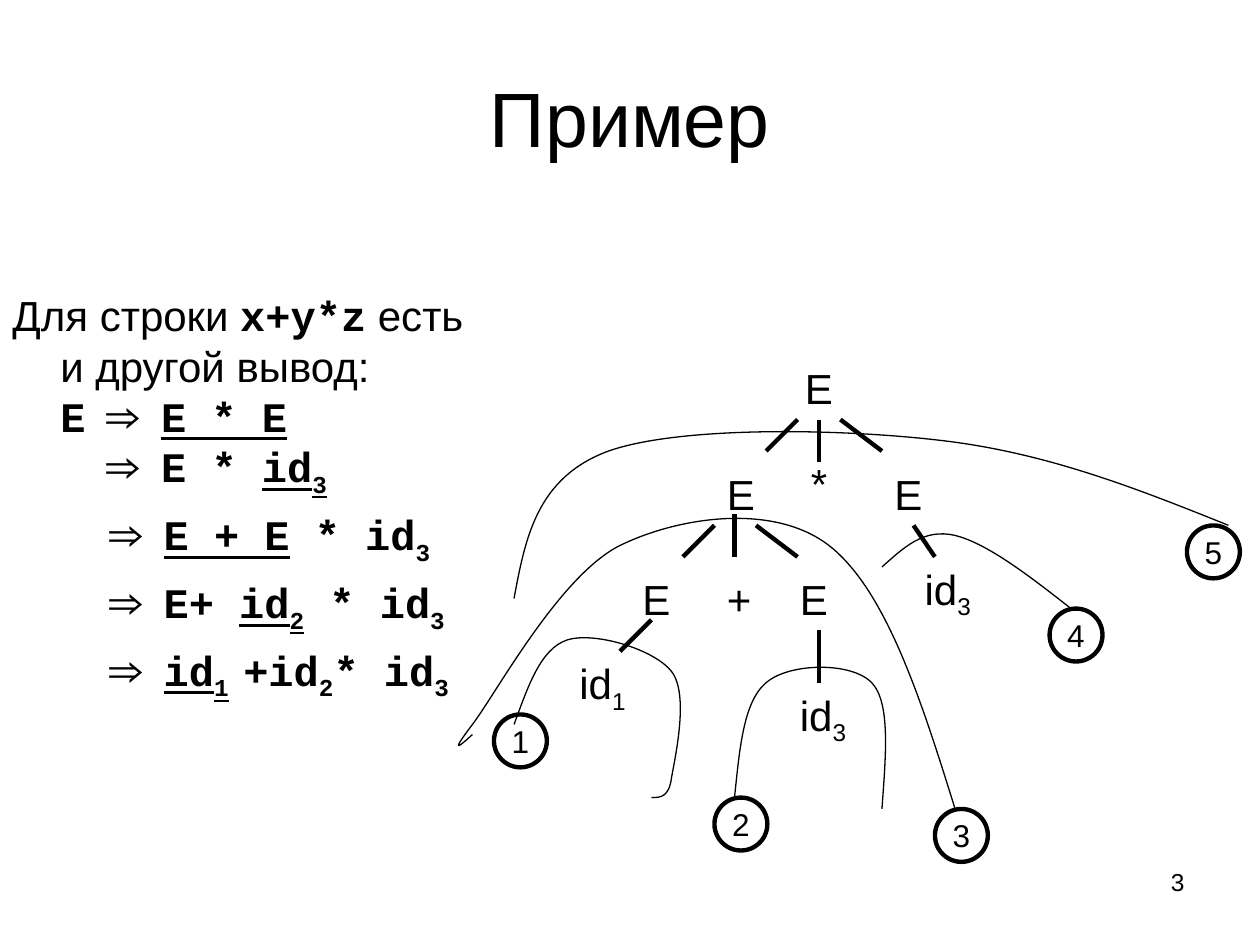
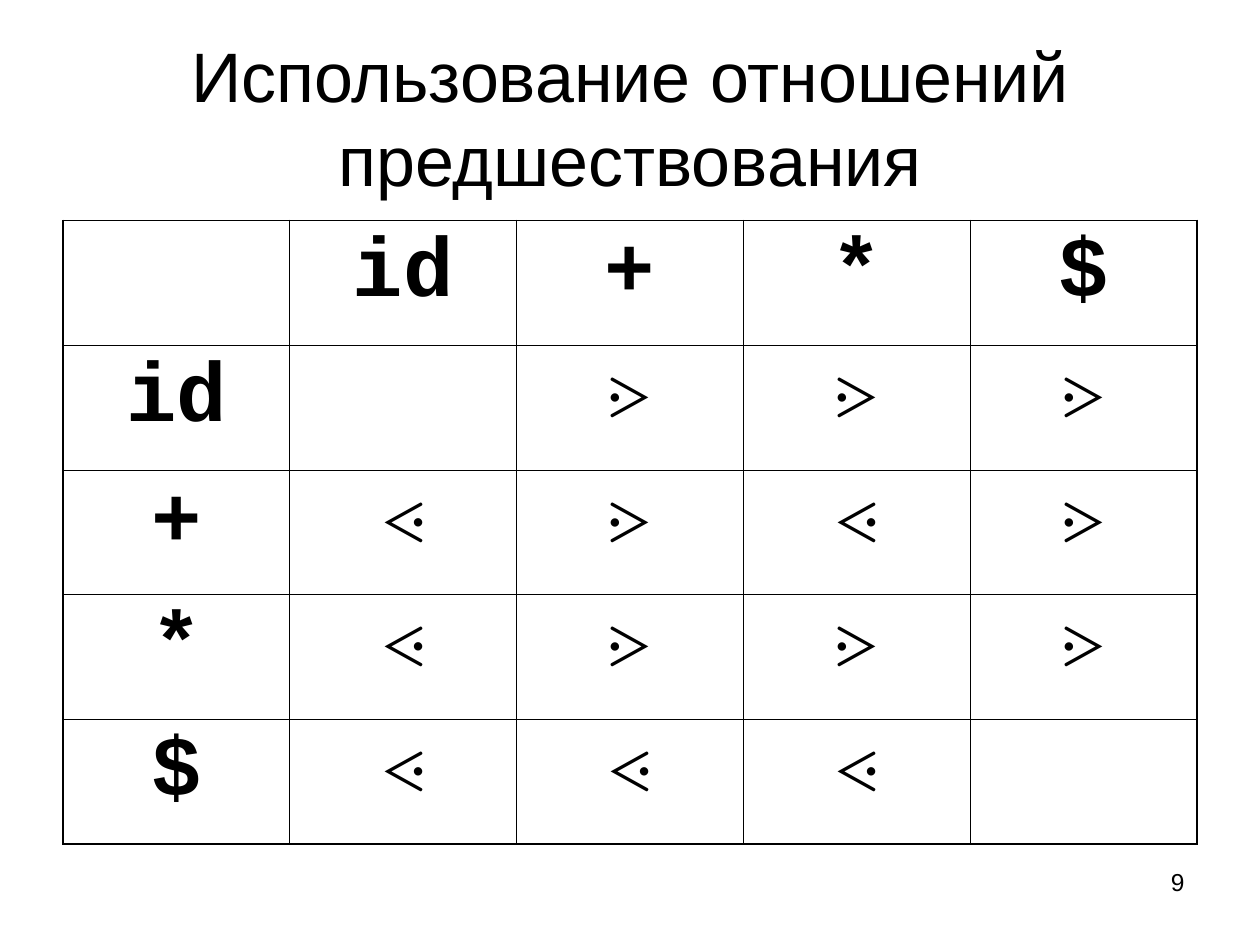
from dataclasses import dataclass

from lxml import etree
from pptx import Presentation
from pptx import util as u
from pptx.dml.color import RGBColor
from pptx.enum import shapes, text
from pptx.oxml import ns


@dataclass(frozen=True)
class Theme:
    """Colours, fonts, type sizes and line widths of the deck."""
    ink: RGBColor = RGBColor(0, 0, 0)
    sans: str = "Arial"
    mono: str = "Courier New"
    title: int = 44
    long_title: int = 40
    body: int = 24
    cell: int = 48
    circle: int = 18
    number: int = 14
    edge: float = 2.5
    curve: float = 0.75
    frame: float = 1.08
    grid: float = 0.45


THEME = Theme()
LEFT, CENTER, RIGHT = text.PP_ALIGN.LEFT, text.PP_ALIGN.CENTER, text.PP_ALIGN.RIGHT
TITLE_BOX = (0.5, 0.3, 9, 1.25)
NUMBER_BOX = (7.17, 6.83, 2.33, 0.52)
DERIVATION_BOX = (0, 2.25, 4.08, 3.5)
TREE_ORIGIN = (3.5, 2.5)
TABLE_BOX = (0.5, 1.75, 9, 4.95)
CIRCLE_SIZE = 0.42

DERIVATION = [
    (0.38, -0.38, 0, [("Для строки ", ""), ("x+y*z", "m"), (" есть", ""), ("\n", ""),
                      ("и другой вывод:", ""), ("\n", ""), ("E ⇒ ", "m"), ("E * E", "mu")]),
    (0.78, 0, 0, [("⇒ E * ", "m"), ("id", "mu"), ("3", "mus")]),
    (0.8, 0, 6, [("⇒ ", "m"), ("E + E", "mu"), (" * id", "m"), ("3", "ms")]),
    (0.8, 0, 6, [("⇒ E+ ", "m"), ("id", "mu"), ("2", "mus"), (" * id", "m"), ("3", "ms")]),
    (0.8, 0, 6, [("⇒ ", "m"), ("id", "mu"), ("1", "mus"), (" ", "ms"), ("+id", "m"),
                 ("2", "ms"), ("* id", "m"), ("3", "ms")]),
]

NODES = {
    "root": ("E", "", 2.75, 0.33, 0.5, CENTER),
    "sum": ("E", "", 2.17, 1.17, 0.5, LEFT),
    "factor": ("E", "", 3.5, 1.17, 0.5, LEFT),
    "times": ("*", "", 2.75, 1.08, 0.5, CENTER),
    "factor id": ("id", "3", 3.74, 1.92, 0.75, LEFT),
    "first term": ("E", "", 1.5, 2, 0.5, LEFT),
    "second term": ("E", "", 2.75, 2, 0.5, LEFT),
    "plus": ("+", "", 2.17, 2, 0.5, LEFT),
    "first id": ("id", "1", 1, 2.67, 0.92, LEFT),
    "second id": ("id", "3", 2.75, 2.92, 0.75, LEFT),
}

EDGES = [
    (None, (2.83, 0.83), (2.58, 1.08)),
    (None, (3.17, 0.83), (3.5, 1.08)),
    ("root", (3, 0.83), (3, 1.17)),
    ("factor", (3.75, 1.67), (3.92, 1.92)),
    (None, (2.33, 1.58), (2.33, 1.92)),
    (None, (2.17, 1.67), (1.92, 1.92)),
    (None, (2.5, 1.67), (2.83, 1.92)),
    (None, (1.67, 2.42), (1.42, 2.67)),
    ("second term", (3, 2.5), (3, 2.92)),
]

CURVES = [
    [(0.58, 2.25), (0.67, 1.77), (0.76, 1.29), (1.33, 1.08), (1.9, 0.88), (3.18, 0.9),
     (4, 1), (4.82, 1.1), (5.53, 1.38), (6.25, 1.67)],
    [(0.58, 3.25), (0.69, 2.95), (0.79, 2.65), (1, 2.58), (1.21, 2.51), (1.69, 2.65),
     (1.83, 2.83), (1.97, 3.01), (1.86, 3.5), (1.83, 3.67), (1.81, 3.83), (1.74, 3.83),
     (1.67, 3.83)],
    [(2.33, 3.83), (2.37, 3.45), (2.4, 3.07), (2.58, 2.92), (2.76, 2.76), (3.26, 2.75),
     (3.42, 2.92), (3.57, 3.08), (3.53, 3.5), (3.5, 3.92)],
    [(0.25, 3.33), (0.15, 3.42), (0.06, 3.5), (0.25, 3.25), (0.44, 3), (0.94, 2.07),
     (1.42, 1.83), (1.89, 1.6), (2.64, 1.49), (3.08, 1.83), (3.53, 2.18), (3.81, 3.05),
     (4.08, 3.92)],
    [(3.5, 2), (3.67, 1.85), (3.83, 1.69), (4.08, 1.75), (4.33, 1.81), (4.67, 2.07),
     (5, 2.33)],
]

CIRCLES = [(0.42, 3.17), (2.17, 3.83), (3.92, 3.92), (4.83, 2.33), (5.92, 1.67)]

PRECEDENCE = [
    ["", "id", "+", "*", "$"],
    ["id", "", "⋗", "⋗", "⋗"],
    ["+", "⋖", "⋗", "⋖", "⋗"],
    ["*", "⋖", "⋗", "⋗", "⋗"],
    ["$", "⋖", "⋖", "⋖", ""],
]


def inches(values):
    """Turn numbers into lengths."""
    return [u.Inches(value) for value in values]


def format_para(para, size, align=LEFT, name=THEME.sans, bold=False):
    """Set the alignment and font of a paragraph."""
    para.alignment = align
    font = para.font
    font.name, font.size, font.bold = name, u.Pt(size), bold
    font.color.rgb = THEME.ink


def add_span(para, words, subscript=False):
    """Append a run, lowered if it is a subscript."""
    span = para.add_run()
    span.text = words
    if subscript:
        span.font._element.set("baseline", "-25000")
    return span


def add_box(page, place):
    """Add a wrapping text box and return it."""
    box = page.shapes.add_textbox(*inches(place))
    box.text_frame.word_wrap = True
    return box


def start_page(deck, heading, size, number):
    """Add a page with its title and page number."""
    page = deck.slides.add_slide(deck.slide_layouts[5])
    title = page.shapes.title
    title.left, title.top, title.width, title.height = inches(TITLE_BOX)
    frame = title.text_frame
    frame.text = heading
    frame.auto_size = text.MSO_AUTO_SIZE.NONE
    frame.vertical_anchor = text.MSO_ANCHOR.MIDDLE
    format_para(frame.paragraphs[0], size, CENTER)
    para = add_box(page, NUMBER_BOX).text_frame.paragraphs[0]
    add_span(para, str(number))
    format_para(para, THEME.number, RIGHT)
    return page


def add_derivation(page, place):
    """Write the derivation steps into the given box."""
    frame = add_box(page, place).text_frame
    for index, (margin, indent, before, spans) in enumerate(DERIVATION):
        para = frame.add_paragraph() if index else frame.paragraphs[0]
        properties = para._p.get_or_add_pPr()
        properties.set("marL", str(u.Inches(margin)))
        properties.set("indent", str(u.Inches(indent)))
        para.space_before = u.Pt(before)
        format_para(para, THEME.body)
        for words, style in spans:
            if words == "\n":
                para.add_line_break()
                continue
            span = add_span(para, words, "s" in style)
            span.font.name = THEME.mono if "m" in style else THEME.sans
            span.font.bold = "m" in style
            span.font.underline = "u" in style


def draw_outline(shape, width):
    """Give a shape a plain outline without fill or shadow."""
    shape.shadow.inherit = False
    shape.fill.background()
    shape.line.color.rgb = THEME.ink
    shape.line.width = u.Pt(width)


def add_curve(page, points):
    """Draw a chain of cubic curves through every third point."""
    start, *others = [inches(point) for point in points]
    builder = page.shapes.build_freeform(*start)
    builder.add_line_segments(others, close=False)
    curve = builder.convert_to_shape()
    outline = next(curve._element.iter(ns.qn("a:path")))
    segments = outline.findall(ns.qn("a:lnTo"))
    for first in range(0, len(segments), 3):
        cubic = etree.SubElement(outline, ns.qn("a:cubicBezTo"))
        for segment in segments[first:first + 3]:
            cubic.append(segment[0])
            outline.remove(segment)
    draw_outline(curve, THEME.curve)


def add_edge(page, start, end, parent):
    """Draw a tree branch, joined to its parent node if there is one."""
    edge = page.shapes.add_connector(shapes.MSO_CONNECTOR.STRAIGHT, *inches(start + end))
    if parent is not None:
        edge.begin_connect(parent, 2)
    edge.line.color.rgb = THEME.ink
    edge.line.width = u.Pt(THEME.edge)
    etree.SubElement(edge._element.spPr, ns.qn("a:effectLst"))


def add_tree(page, origin):
    """Draw the parse tree and the numbered reduction arcs from an origin."""
    def shift(point):
        """Move a point by the origin."""
        return point[0] + origin[0], point[1] + origin[1]

    nodes = {}
    for key, (word, index, left, top, width, align) in NODES.items():
        nodes[key] = add_box(page, (*shift((left, top)), width, 0.5))
        para = nodes[key].text_frame.paragraphs[0]
        add_span(para, word)
        if index:
            add_span(para, index, True)
        format_para(para, THEME.body, align)
    for parent, start, end in EDGES:
        add_edge(page, shift(start), shift(end), nodes.get(parent))
    for points in CURVES:
        add_curve(page, [shift(point) for point in points])
    for number, corner in enumerate(CIRCLES, 1):
        place = inches((*shift(corner), CIRCLE_SIZE, CIRCLE_SIZE))
        circle = page.shapes.add_shape(shapes.MSO_SHAPE.OVAL, *place)
        draw_outline(circle, THEME.edge)
        frame = circle.text_frame
        frame.word_wrap = False
        frame.vertical_anchor = text.MSO_ANCHOR.MIDDLE
        add_span(frame.paragraphs[0], str(number))
        format_para(frame.paragraphs[0], THEME.circle, CENTER)


def add_border(cell, side, width):
    """Draw one solid side of a cell."""
    line = etree.SubElement(cell._tc.get_or_add_tcPr(), ns.qn(f"a:ln{side}"),
                            w=str(u.Pt(width)))
    fill = etree.SubElement(line, ns.qn("a:solidFill"))
    etree.SubElement(fill, ns.qn("a:srgbClr"), val=str(THEME.ink))


def add_precedence_table(page, place):
    """Fill the given box with the table of precedence relations."""
    count = len(PRECEDENCE)
    table = page.shapes.add_table(count, count, *inches(place)).table
    table.first_row = table.horz_banding = False
    for column in table.columns:
        column.width = u.Inches(place[2] / count)
    for row_index, (row, symbols) in enumerate(zip(table.rows, PRECEDENCE)):
        row.height = u.Inches(place[3] / count)
        for column_index, (cell, symbol) in enumerate(zip(row.cells, symbols)):
            outer = {"L": column_index == 0, "R": column_index == count - 1,
                     "T": row_index == 0, "B": row_index == count - 1}
            for side, is_outer in outer.items():
                add_border(cell, side, THEME.frame if is_outer else THEME.grid)
            cell.fill.background()
            cell.text = symbol
            format_para(cell.text_frame.paragraphs[0], THEME.cell, CENTER, THEME.mono, True)


def main():
    """Build and save the deck."""
    deck = Presentation()
    deck.slide_width, deck.slide_height = inches((10, 7.5))
    example = start_page(deck, "Пример", THEME.title, 3)
    add_derivation(example, DERIVATION_BOX)
    add_tree(example, TREE_ORIGIN)
    relations = start_page(deck, "Использование отношений предшествования",
                           THEME.long_title, 9)
    add_precedence_table(relations, TABLE_BOX)
    deck.save("out.pptx")


if __name__ == "__main__":
    main()
